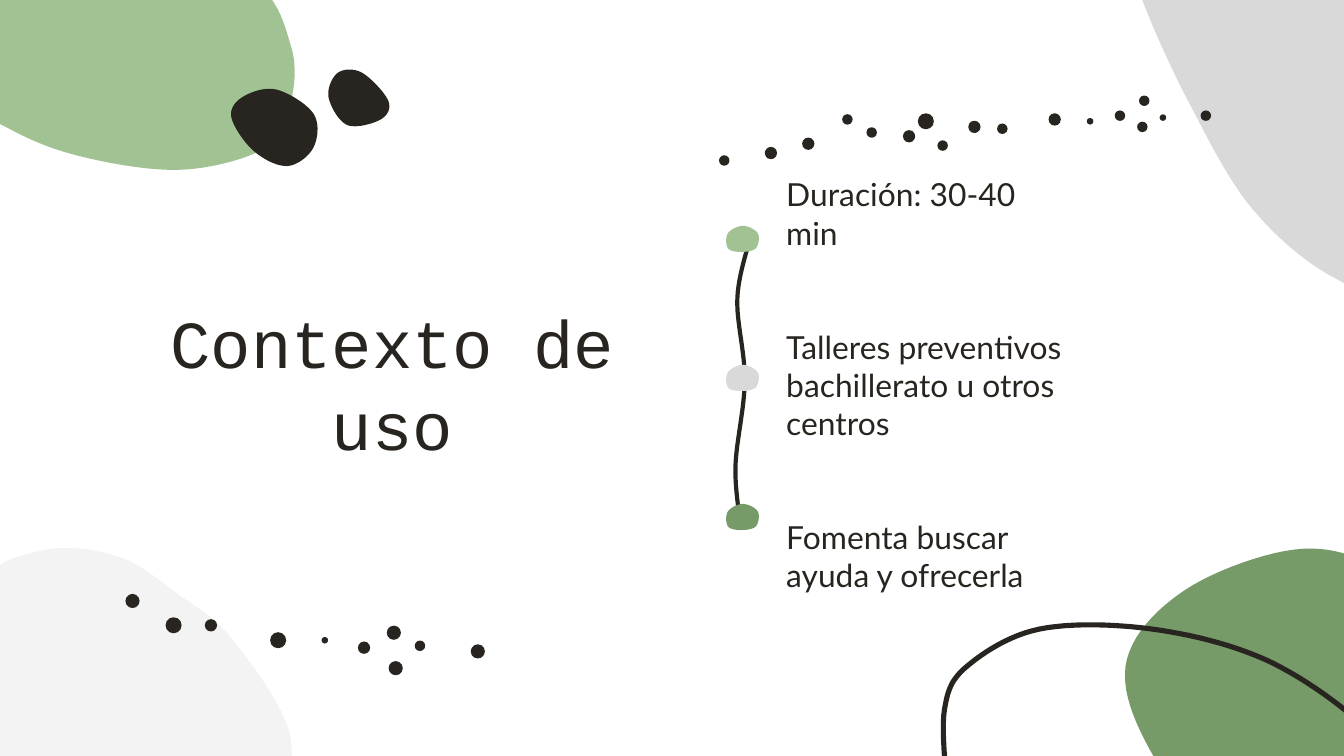
from dataclasses import dataclass
from typing import Optional

from lxml import etree
from pptx import Presentation
from pptx.dml.color import RGBColor
from pptx.enum.shapes import MSO_SHAPE
from pptx.enum.text import MSO_ANCHOR, MSO_AUTO_SIZE, PP_ALIGN
from pptx.oxml.ns import qn
from pptx.util import Pt

OVAL = MSO_SHAPE.OVAL
MIDDLE = MSO_ANCHOR.MIDDLE
FIXED = MSO_AUTO_SIZE.NONE
CENTER = PP_ALIGN.CENTER
LEFT = PP_ALIGN.LEFT

INK, LEAF, MOSS, GREY, PALE = "282520", "A1C393", "779B68", "D9D9D9", "F3F3F3"
STEPS = 12  # straight pieces between two knots


@dataclass
class Blob:
    """Closed smooth shape through its knots."""
    fill: str
    knots: list[tuple[float, float]]


@dataclass
class Thread:
    """Open smooth stroke through its knots."""
    width: float
    knots: list[tuple[float, float]]


def paint(target, color: str) -> None:
    target.rgb = RGBColor.from_string(color)


def smooth(knots: list, closed: bool) -> list[tuple[int, int]]:
    """Sample a Catmull-Rom spline through the knots."""
    ends = (knots[-1:], knots[:2]) if closed else (knots[:1], knots[-1:])
    line = ends[0] + knots + ends[1]
    out = []
    for quad in zip(line, line[1:], line[2:], line[3:]):
        for k in range(1, STEPS + 1):
            t = k / STEPS
            x, y = (b + t / 2 * (c - a + t * (2 * a - 5 * b + 4 * c - d
                                              + t * (3 * (b - c) + d - a)))
                    for a, b, c, d in zip(*quad))
            out.append((Pt(x), Pt(y)))
    return out


def outline(slide, knots: list, closed: bool):
    x, y = knots[0]
    pen = slide.shapes.build_freeform(Pt(x), Pt(y), scale=1.0)
    pen.add_line_segments(smooth(knots, closed), close=closed)
    return pen.convert_to_shape()


def dress(shape, fill: Optional[str], width: float = 0) -> None:
    """Give a shape a plain fill, or an ink stroke of some width."""
    shape.shadow.inherit = False
    if fill:
        shape.fill.solid()
        paint(shape.fill.fore_color, fill)
        shape.line.fill.background()
    else:
        shape.fill.background()
        paint(shape.line.color, INK)
        shape.line.width = Pt(width)


def draw_blob(slide, blob: Blob) -> None:
    dress(outline(slide, blob.knots, True), blob.fill)


def draw_thread(slide, thread: Thread) -> None:
    dress(outline(slide, thread.knots, False), None, thread.width)


def draw_dot(slide, x: float, y: float, size: float) -> None:
    half = size / 2
    dress(slide.shapes.add_shape(OVAL, Pt(x - half), Pt(y - half),
                                 Pt(size), Pt(size)), INK)


def place(shape, box: tuple, top: float, low: float):
    """Move a placeholder and return its text frame."""
    shape.left, shape.top, shape.width, shape.height = (Pt(v) for v in box)
    frame = shape.text_frame
    frame.word_wrap = True
    frame.auto_size = FIXED
    frame.vertical_anchor = MIDDLE
    frame.margin_left = frame.margin_right = Pt(7.2)
    frame.margin_top, frame.margin_bottom = Pt(top), Pt(low)
    return frame


def style(para, font: str, size: float) -> None:
    for run in para.runs:
        run.font.name = font
        run.font.size = Pt(size)
        paint(run.font.color, INK)


# Corner shapes and pebbles
BLOBS = [
    Blob(MOSS, [(603, 357), (635, 316), (698, 294), (744, 310), (775, 360),
                (750, 450), (675, 476), (622, 412)]),
    Blob(GREY, [(612, 0), (637, 55), (671, 112), (717, 150), (770, 162),
                (800, 60), (690, -50), (605, -30)]),
    Blob(LEAF, [(154, 62), (156, 25), (130, -15), (38, -53), (-40, -20),
                (-28, 45), (5, 69), (44, 84), (96, 91), (139, 81)]),
    Blob(PALE, [(63, 298), (22, 295), (-12, 317), (-30, 400), (60, 482),
                (137, 444), (156, 397), (125, 343), (95, 318)]),
    Blob(INK, [(130, 52), (124, 63), (136, 81), (154, 89), (168, 79),
               (168, 61), (148, 48)]),
    Blob(INK, [(181, 39), (176, 52), (186, 67), (204, 64), (208, 54), (194, 39)]),
]
LOOP = Thread(2.75, [(507, 420), (506, 380), (518, 357), (557, 337), (617, 337),
                     (677, 353), (726, 385), (741, 410)])

# Dotted trails, by dot size
DOTS = {
    3.5: [(584, 65), (174, 343), (623, 63)],
    5.6: [(388, 86), (454, 64), (467, 71), (505, 78), (537, 69), (600, 62),
          (613, 54), (612, 68), (646, 62), (225, 346)],
    6.6: [(413, 82), (433, 77), (487, 73), (522, 68), (565, 64), (113, 335),
          (195, 347)],
    7.6: [(71, 322), (212, 358), (211, 339), (256, 349)],
    8.6: [(496, 65), (93, 335), (149, 343)],
}

# Timeline: one stroke with the same bead along it
STEM = Thread(2.25, [(402, 127), (395, 160), (399, 204), (394, 250), (397, 283)])
BEAD = [(398, 0), (390, 4), (390, 12), (397, 14), (405, 12), (406, 4)]
COLORS = [LEAF, GREY, MOSS]
ITEMS = ["Duración: 30-40 min", "Talleres preventivos bachillerato u otros centros",
         "Fomenta buscar ayuda y ofrecerla"]


def main() -> None:
    deck = Presentation()
    deck.slide_width, deck.slide_height = Pt(720), Pt(405)
    slide = deck.slides.add_slide(deck.slide_layouts[1])

    # Title
    frame = place(slide.shapes.title, (60.5, 151, 299.5, 102), 10, 5)
    frame.text = "Contexto de uso"
    para = frame.paragraphs[0]
    para.alignment = CENTER
    para.line_spacing = Pt(44)
    style(para, "Courier New", 36)

    # List
    frame = place(slide.placeholders[1], (378, 88.5, 201, 252), 7.2, 24)
    frame.text = "\n".join(ITEMS)
    for i, para in enumerate(frame.paragraphs):
        props = para._p.get_or_add_pPr()
        props.set("marL", str(Pt(36)))
        props.set("indent", "0")
        etree.SubElement(props, qn("a:buNone"))
        para.alignment = LEFT
        para.space_before = Pt(40.8 if i else 0)
        style(para, "Lato", 17)

    # Decoration
    for blob in BLOBS:
        draw_blob(slide, blob)
    draw_thread(slide, LOOP)
    for size, spots in DOTS.items():
        for x, y in spots:
            draw_dot(slide, x, y, size)

    # Timeline
    draw_thread(slide, STEM)
    for i, color in enumerate(COLORS):
        top = 121 + 74.5 * i
        draw_blob(slide, Blob(color, [(x, top + y) for x, y in BEAD]))

    deck.save("out.pptx")


if __name__ == "__main__":
    main()
